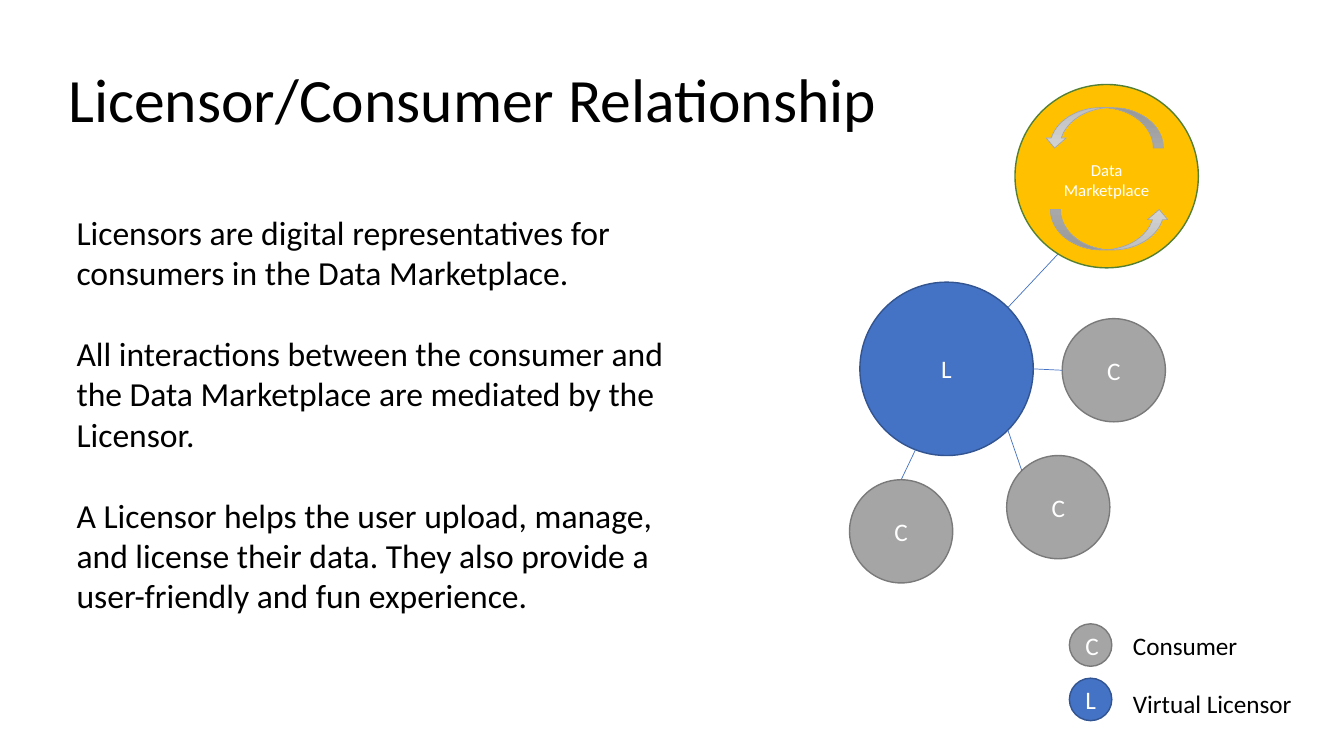
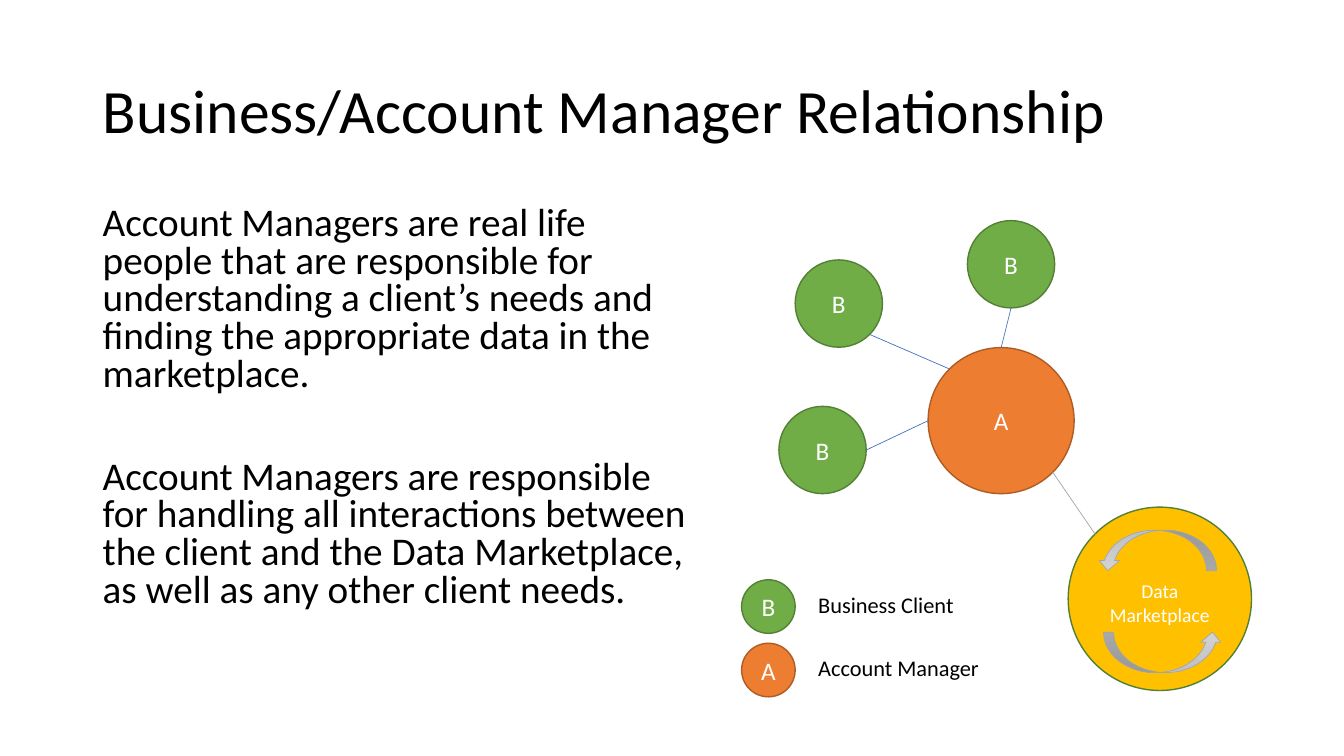
from dataclasses import dataclass
from math import cos, radians, sin

from lxml import etree
from pptx import Presentation
from pptx.dml.color import RGBColor
from pptx.enum.shapes import MSO_CONNECTOR, MSO_SHAPE
from pptx.enum.text import MSO_ANCHOR, MSO_AUTO_SIZE, PP_ALIGN
from pptx.oxml.ns import qn
from pptx.util import Cm, Pt

ELLIPSE = MSO_SHAPE.OVAL
CURVED_ARROW = MSO_SHAPE.CURVED_UP_ARROW
STRAIGHT = MSO_CONNECTOR.STRAIGHT
LEFT, CENTER = PP_ALIGN.LEFT, PP_ALIGN.CENTER
TOP, MIDDLE = MSO_ANCHOR.TOP, MSO_ANCHOR.MIDDLE
NO_AUTOFIT = MSO_AUTO_SIZE.NONE
TITLE_ONLY = 5
EAST, SOUTH_EAST, SOUTH, WEST, NORTH_WEST, NORTH, NORTH_EAST = 0, 45, 90, 180, 225, 270, 315


@dataclass(frozen=True)
class Role:
    letter: str
    fill: str
    outline: str


@dataclass(frozen=True)
class Theme:
    font: str = "Calibri"
    text: str = "000000"
    inverse: str = "FFFFFF"
    link: str = "4472C4"
    muted: str = "A5A5A5"
    arrow_light: str = "D2D2D2"
    arrow_dark: str = "C0C0C0"
    title_size: float = 44
    letter_size: float = 18
    outline_width: float = 1
    thin_width: float = 0.5
    licensor: Role = Role("L", "4472C4", "325491")
    consumer: Role = Role("C", "A5A5A5", "7A7A7A")
    manager: Role = Role("A", "ED7D31", "AF5C24")
    client: Role = Role("B", "70AD47", "538035")
    marketplace: Role = Role("Data Marketplace", "FFC000", "538035")


class Deck:
    def __init__(self, theme):
        self.theme = theme
        self.presentation = Presentation()
        self.presentation.slide_width = Cm(33.87)
        self.presentation.slide_height = Cm(19.05)
        self.slide = None

    def add_slide(self, title, left, top, width, height):
        layout = self.presentation.slide_layouts[TITLE_ONLY]
        self.slide = self.presentation.slides.add_slide(layout)
        heading = self.slide.shapes.title
        heading.left, heading.top = Cm(left), Cm(top)
        heading.width, heading.height = Cm(width), Cm(height)
        self.set_text(heading, [title], self.theme.title_size, spacing=0.9, anchor=MIDDLE)

    def set_text(self, shape, lines, size, color=None, align=LEFT, anchor=TOP, spacing=1.0, gap=0):
        frame = shape.text_frame
        frame.text = "\n".join(lines)
        frame.word_wrap = True
        frame.auto_size = NO_AUTOFIT
        frame.vertical_anchor = anchor
        for index, paragraph in enumerate(frame.paragraphs):
            paragraph.alignment = align
            paragraph.line_spacing = spacing
            paragraph.space_before = Pt(gap if index else 0)
            for run in paragraph.runs:
                run.font.name = self.theme.font
                run.font.size = Pt(size)
                run.font.color.rgb = RGBColor.from_string(color or self.theme.text)

    def text(self, lines, left, top, width, height, size, **style):
        box = self.slide.shapes.add_textbox(Cm(left), Cm(top), Cm(width), Cm(height))
        self.set_text(box, lines, size, **style)

    def outline(self, shape, color, width):
        shape.line.color.rgb = RGBColor.from_string(color)
        shape.line.width = Pt(width)

    def circle(self, role, left, top, diameter, size=None):
        node = self.slide.shapes.add_shape(ELLIPSE, Cm(left), Cm(top), Cm(diameter), Cm(diameter))
        node.shadow.inherit = False
        node.fill.solid()
        node.fill.fore_color.rgb = RGBColor.from_string(role.fill)
        self.outline(node, role.outline, self.theme.outline_width)
        self.set_text(node, [role.letter], size or self.theme.letter_size,
                      self.theme.inverse, CENTER, MIDDLE)
        return node

    def cycle_arrow(self, left, top, rotation):
        arrow = self.slide.shapes.add_shape(CURVED_ARROW, Cm(left), Cm(top), Cm(3), Cm(1.02))
        arrow.rotation = rotation
        arrow.shadow.inherit = False
        arrow.fill.gradient()
        arrow.fill.gradient_angle = 270
        shades = (self.theme.arrow_light, self.theme.arrow_dark)
        for position, (stop, shade) in enumerate(zip(arrow.fill.gradient_stops, shades)):
            stop.position = position
            stop.color.rgb = RGBColor.from_string(shade)
        self.outline(arrow, self.theme.muted, self.theme.thin_width)

    def marketplace(self, left, top, size):
        market = self.circle(self.theme.marketplace, left, top, 4.62, size)
        market.text_frame.margin_top = Cm(0.33)
        self.cycle_arrow(left + 0.89, top + 3.15, 0)
        self.cycle_arrow(left + 0.74, top + 0.58, 180)
        return market

    def rim(self, node, angle):
        radius = node.width / 2
        return (round(node.left + radius * (1 + cos(radians(angle)))),
                round(node.top + radius * (1 + sin(radians(angle)))))

    def link(self, start, start_angle, end, end_angle, color=None):
        line = self.slide.shapes.add_connector(
            STRAIGHT, *self.rim(start, start_angle), *self.rim(end, end_angle))
        self.outline(line, color or self.theme.link, self.theme.thin_width)
        etree.SubElement(line.element.spPr, qn("a:effectLst"))

    def legend(self, entries, left, top, diameter, step, label_at, label_step, label_width, size):
        label_left, label_top = label_at
        for row, (role, label) in enumerate(entries):
            self.circle(role, left, top + row * step, diameter)
            self.text([label], label_left, label_top + row * label_step, label_width, 1, size)


def licensor_slide(deck):
    theme = deck.theme
    deck.add_slide("Licensor/Consumer Relationship", 1.47, 1.52, 22.3, 2.13)
    deck.text([
        "Licensors are digital representatives for consumers in the Data Marketplace.",
        "All interactions between the consumer and the Data Marketplace are mediated by the Licensor.",
        "A Licensor helps the user upload, manage, and license their data. "
        "They also provide a user-friendly and fun experience.",
    ], 1.68, 5.21, 15.67, 10.52, 24, gap=29)
    market = deck.marketplace(25.58, 2.13, 12)
    licensor = deck.circle(theme.licensor, 21.67, 7.11, 4.37)
    deck.link(licensor, NORTH_EAST, market, 122)
    for left, top, consumer_angle, licensor_angle in (
        (21.41, 12.09, NORTH, 111),
        (25.37, 11.48, NORTH_WEST, SOUTH_EAST),
        (26.77, 8.03, WEST, EAST),
    ):
        consumer = deck.circle(theme.consumer, left, top, 2.6)
        deck.link(consumer, consumer_angle, licensor, licensor_angle)
    deck.legend([(theme.consumer, "Consumer"), (theme.licensor, "Virtual Licensor")],
                26.95, 15.72, 1.07, 1.37, (28.3, 15.75), 1.47, 4.9, 18)


def manager_slide(deck):
    theme = deck.theme
    deck.add_slide("Business/Account Manager Relationship", 2.34, 1.02, 29.21, 3.68)
    deck.text([
        "Account Managers are real life people that are responsible for understanding "
        "a client’s needs and finding the appropriate data in the marketplace.",
        "Account Managers are responsible for handling all interactions between the client "
        "and the Data Marketplace, as well as any other client needs.",
    ], 2.34, 5.08, 15.19, 12.09, 28, spacing=0.8, gap=46.6)
    manager = deck.circle(theme.manager, 23.39, 8.76, 3.68)
    for left, top, client_angle, manager_angle in (
        (20.04, 6.55, SOUTH_EAST, NORTH_WEST),
        (24.38, 5.56, SOUTH, NORTH),
        (19.63, 10.24, EAST, WEST),
    ):
        client = deck.circle(theme.client, left, top, 2.2)
        deck.link(manager, manager_angle, client, client_angle)
    market = deck.marketplace(26.92, 12.78, 14)
    deck.link(manager, SOUTH_EAST, market, NORTH_WEST, theme.muted)
    deck.legend([(theme.client, "Business Client"), (theme.manager, "Account Manager")],
                18.69, 14.61, 1.35, 1.6, (20.37, 14.76), 1.6, 5.54, 16)


def main():
    deck = Deck(Theme())
    licensor_slide(deck)
    manager_slide(deck)
    deck.presentation.save("out.pptx")


if __name__ == "__main__":
    main()
